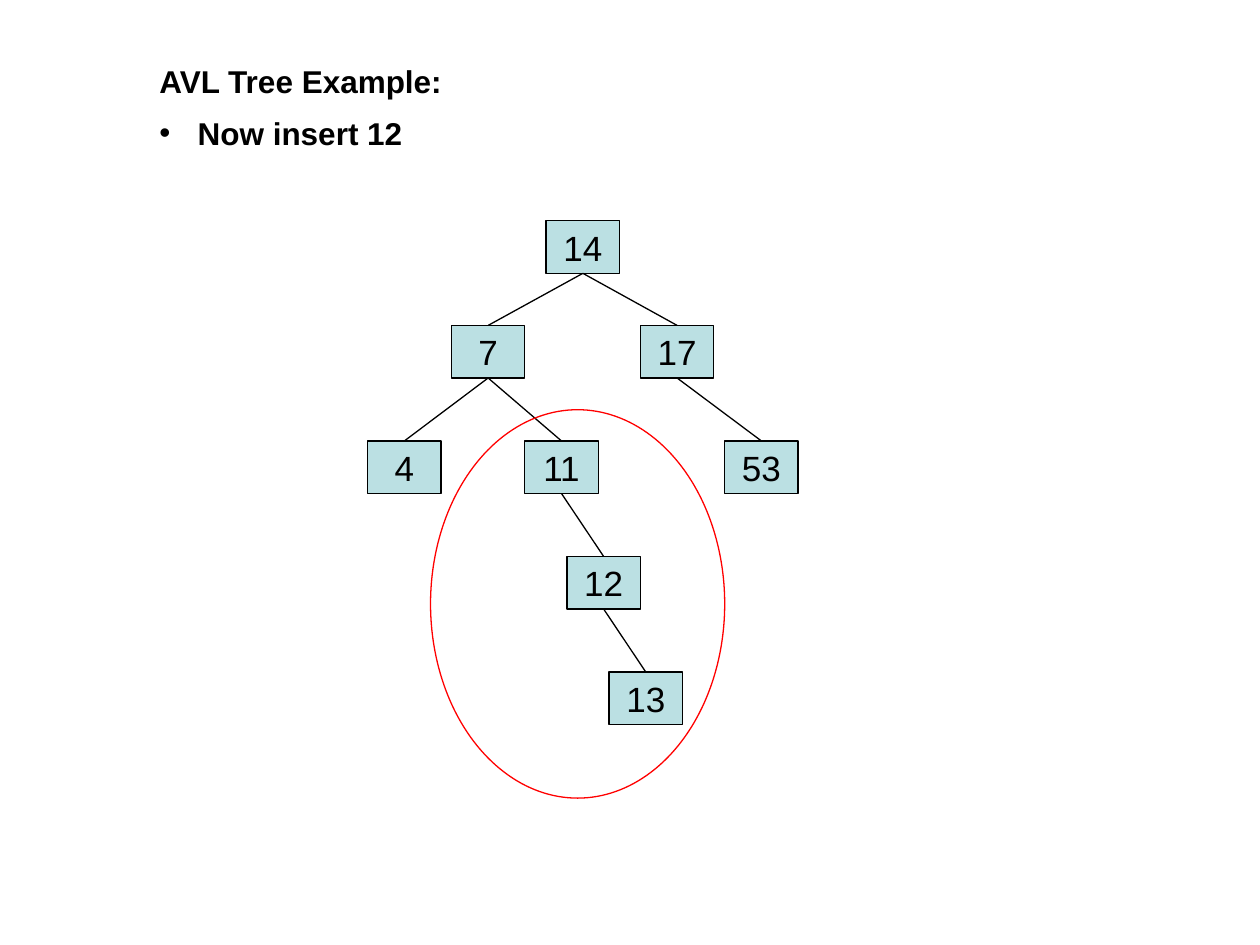
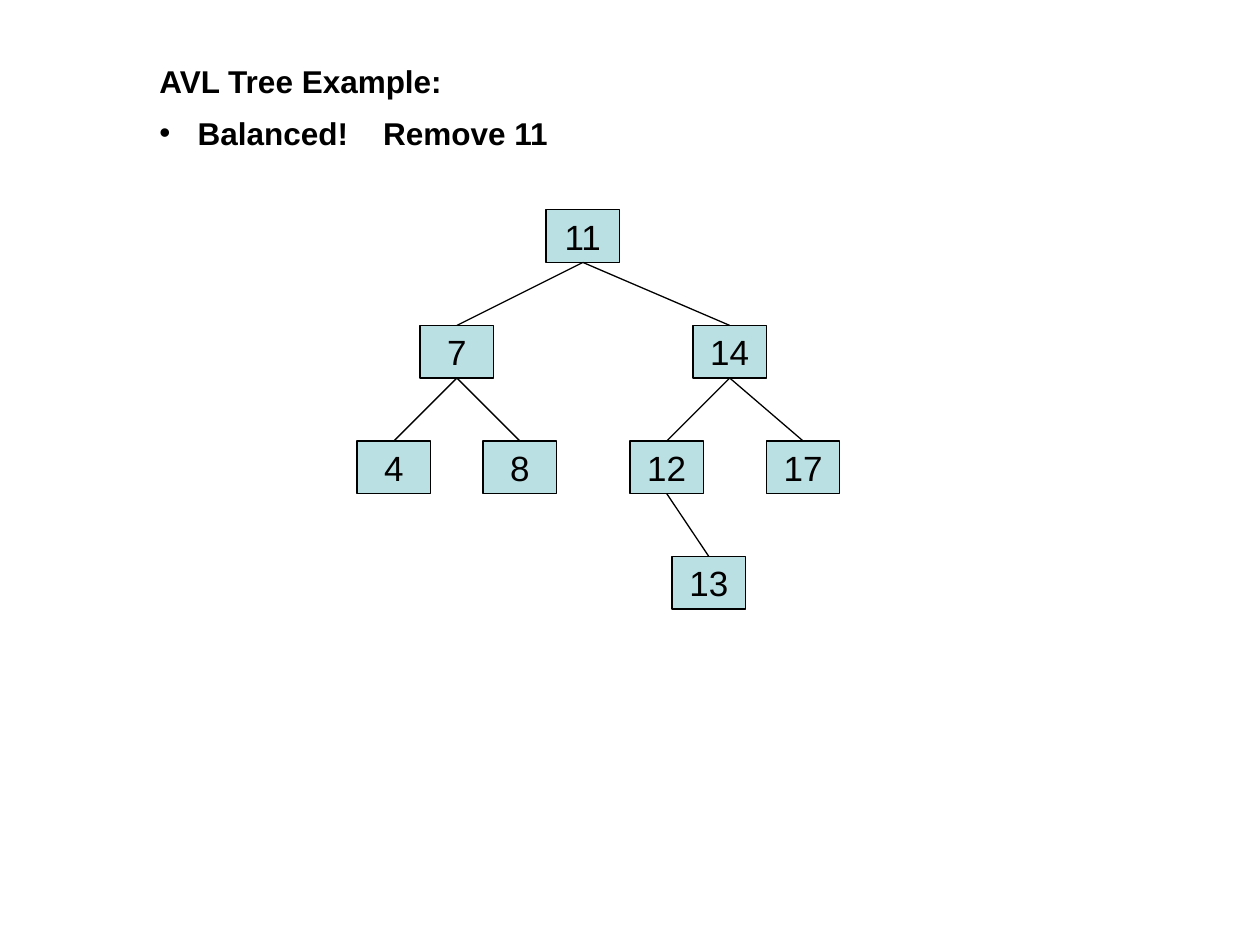
from dataclasses import dataclass
from typing import Optional

from lxml import etree
from pptx import Presentation
from pptx import util as u
from pptx.dml import color
from pptx.enum import shapes, text
from pptx.oxml import ns

FONT = "Arial"
INK = "000000"
NODE_FILL = "BBE0E3"
HIGHLIGHT = "FF0000"
RULE = u.Pt(0.75)

HEADING = "AVL Tree Example:"
HEADING_SIZE = 18
KEY_SIZE = 20
HEADING_LEFT, HEADING_WIDTH, HEADING_HEIGHT = 2.96, 19.9, 1.0
HEADING_TOP, STEP_TOP = 1.12, 2.17
STEP_INDENT = u.Cm(0.77)
PHRASE_GAP = 1500

NODE_WIDTH, NODE_HEIGHT = 1.48, 1.06
FIRST_LEVEL_TOP, LEVEL_PITCH = 6.56, 2.33
BOTTOM_SITE, TOP_SITE = 2, 0


@dataclass(frozen=True)
class Node:
    key: int
    left: float
    level: int
    parent: Optional[int] = None


@dataclass(frozen=True)
class Area:
    left: float
    top: float
    width: float
    height: float

    def lengths(self) -> tuple:
        return tuple(u.Cm(v) for v in (self.left, self.top, self.width, self.height))


@dataclass(frozen=True)
class Step:
    phrases: tuple
    root_top: float
    nodes: tuple
    unbalanced: Optional[Area] = None


STEPS = (
    Step(
        phrases=("Now insert 12",),
        root_top=4.45,
        nodes=(
            Node(14, 11.01, 0),
            Node(7, 9.1, 1, 14),
            Node(17, 12.91, 1, 14),
            Node(4, 7.41, 2, 7),
            Node(11, 10.58, 2, 7),
            Node(53, 14.61, 2, 17),
            Node(12, 11.43, 3, 11),
            Node(13, 12.28, 4, 12),
        ),
        unbalanced=Area(8.68, 8.26, 5.93, 7.83),
    ),
    Step(
        phrases=("Balanced!", "Remove 11"),
        root_top=4.23,
        nodes=(
            Node(11, 11.01, 0),
            Node(7, 8.47, 1, 11),
            Node(14, 13.97, 1, 11),
            Node(4, 7.2, 2, 7),
            Node(8, 9.74, 2, 7),
            Node(12, 12.7, 2, 14),
            Node(17, 15.45, 2, 14),
            Node(13, 13.55, 3, 12),
        ),
    ),
)


def rgb(value: str) -> color.RGBColor:
    return color.RGBColor.from_string(value)


def set_font(font, size: int, bold: bool) -> None:
    font.name = FONT
    font.size = u.Pt(size)
    font.bold = bold
    font.color.rgb = rgb(INK)


def set_line(line, value: str) -> None:
    line.color.rgb = rgb(value)
    line.width = RULE


def format_heading(placeholder, top: float) -> None:
    area = Area(HEADING_LEFT, top, HEADING_WIDTH, HEADING_HEIGHT)
    placeholder.left, placeholder.top, placeholder.width, placeholder.height = area.lengths()
    frame = placeholder.text_frame
    frame.auto_size = text.MSO_AUTO_SIZE.NONE
    frame.vertical_anchor = text.MSO_ANCHOR.TOP
    paragraph = frame.paragraphs[0]
    paragraph.alignment = text.PP_ALIGN.LEFT
    paragraph.space_before = u.Pt(0)
    for run in paragraph.runs:
        set_font(run.font, HEADING_SIZE, True)


def write_step(placeholder, phrases: tuple) -> None:
    frame = placeholder.text_frame
    frame.text = phrases[0]
    paragraph = frame.paragraphs[0]
    for phrase in phrases[1:]:
        gap = paragraph.add_run()
        gap.text = " "
        gap.font._element.set("spc", str(PHRASE_GAP))
        paragraph.add_run().text = phrase
    format_heading(placeholder, STEP_TOP)
    properties = paragraph._p.get_or_add_pPr()
    properties.set("marL", str(int(STEP_INDENT)))
    properties.set("indent", str(-int(STEP_INDENT)))


def draw_node(slide, node: Node, root_top: float):
    top = FIRST_LEVEL_TOP + (node.level - 1) * LEVEL_PITCH if node.level else root_top
    area = Area(node.left, top, NODE_WIDTH, NODE_HEIGHT)
    box = slide.shapes.add_shape(shapes.MSO_SHAPE.RECTANGLE, *area.lengths())
    box.shadow.inherit = False
    box.fill.solid()
    box.fill.fore_color.rgb = rgb(NODE_FILL)
    set_line(box.line, INK)
    frame = box.text_frame
    frame.text = str(node.key)
    frame.word_wrap = False
    frame.vertical_anchor = text.MSO_ANCHOR.MIDDLE
    paragraph = frame.paragraphs[0]
    paragraph.alignment = text.PP_ALIGN.CENTER
    set_font(paragraph.runs[0].font, KEY_SIZE, False)
    return box


def draw_edge(slide, parent, child) -> None:
    edge = slide.shapes.add_connector(shapes.MSO_CONNECTOR.STRAIGHT, 0, 0, 0, 0)
    edge.begin_connect(parent, BOTTOM_SITE)
    edge.end_connect(child, TOP_SITE)
    set_line(edge.line, INK)
    etree.SubElement(edge._element.spPr, ns.qn("a:effectLst"))


def draw_unbalanced(slide, area: Area) -> None:
    ring = slide.shapes.add_shape(shapes.MSO_SHAPE.OVAL, *area.lengths())
    ring.shadow.inherit = False
    ring.fill.background()
    set_line(ring.line, HIGHLIGHT)


def draw_step(deck, step: Step) -> None:
    slide = deck.slides.add_slide(deck.slide_layouts[1])
    heading, remark = slide.placeholders
    heading.text_frame.text = HEADING
    format_heading(heading, HEADING_TOP)
    write_step(remark, step.phrases)
    boxes = {}
    for node in step.nodes:
        boxes[node.key] = draw_node(slide, node, step.root_top)
        if node.parent is not None:
            draw_edge(slide, boxes[node.parent], boxes[node.key])
    if step.unbalanced:
        draw_unbalanced(slide, step.unbalanced)


def main() -> None:
    deck = Presentation()
    deck.slide_width = u.Cm(25.4)
    deck.slide_height = u.Cm(19.05)
    for step in STEPS:
        draw_step(deck, step)
    deck.save("out.pptx")


if __name__ == "__main__":
    main()
